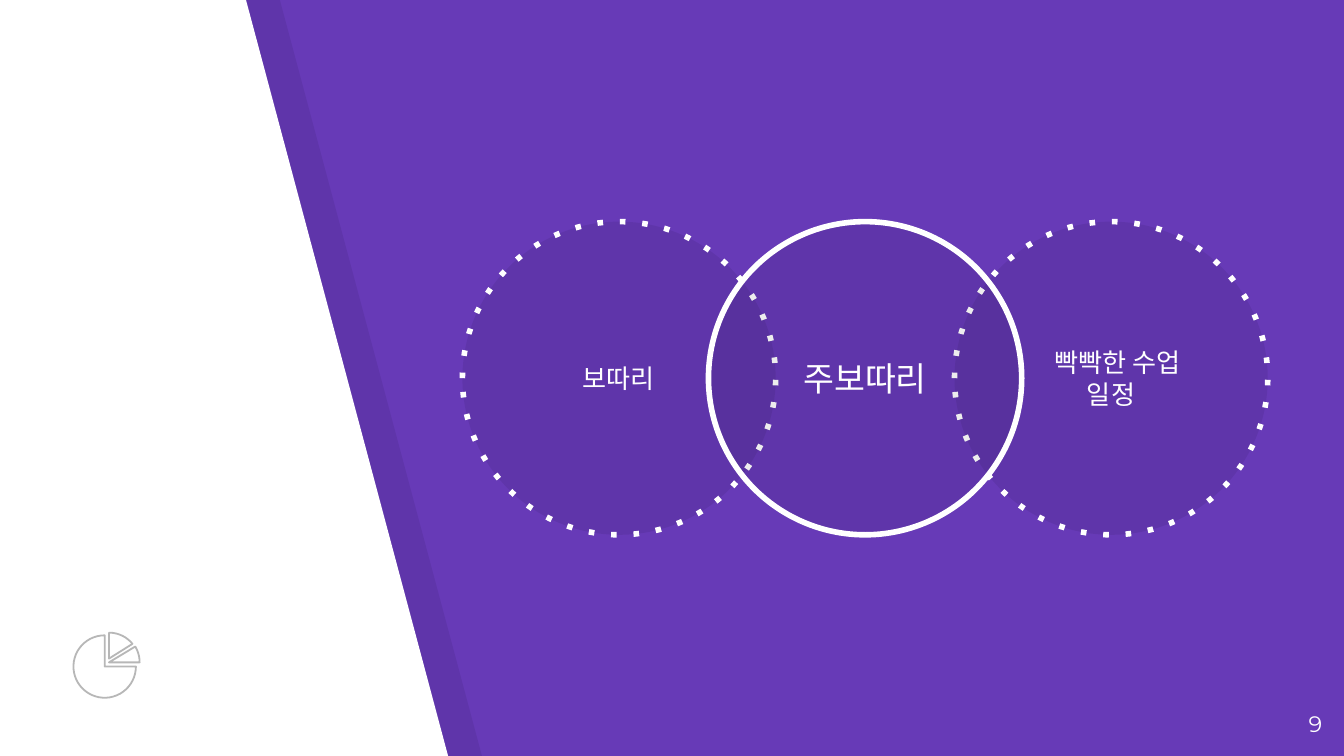
from math import cos, radians, sin

from lxml.etree import SubElement
from pptx import Presentation
from pptx.dml.color import RGBColor
from pptx.enum.shapes import MSO_SHAPE
from pptx.enum.text import MSO_ANCHOR, PP_ALIGN
from pptx.oxml.ns import qn
from pptx.util import Cm, Pt

HUES = {"base": "673AB7", "white": "FFFFFF", "shade": "000000", "grey": "B7B7B7"}
KOREAN = "Noto Sans CJK KR"
LATIN = "Montserrat"


def hue(name):
    return RGBColor.from_string(HUES[name])


def paint(shape, name, alpha=None):
    """Fill a shape, with an optional opacity in percent."""
    shape.fill.solid()
    shape.fill.fore_color.rgb = hue(name)
    if alpha:
        color = shape.fill._xPr.find(qn("a:solidFill"))[0]
        SubElement(color, qn("a:alpha")).set("val", str(alpha * 1000))


def draw(shapes, points):
    """Draw a closed outline through points given in centimetres."""
    first, *rest = [(Cm(x), Cm(y)) for x, y in points]
    pen = shapes.build_freeform(*first)
    pen.add_line_segments(rest, close=True)
    shape = pen.convert_to_shape()
    shape.shadow.inherit = False
    return shape


def write(shape, text, size, font, align, inset, indent=0):
    """Put one run of white text into a shape."""
    frame = shape.text_frame
    frame.word_wrap = True
    frame.margin_left = frame.margin_right = Cm(inset)
    frame.margin_top = frame.margin_bottom = Cm(0.25)
    para = frame.paragraphs[0]
    para.alignment = align
    if indent:
        para._p.get_or_add_pPr().set("indent", str(Cm(indent)))
    run = para.add_run()
    run.text = text
    run.font.size = Pt(size)
    run.font.name = font
    run.font.color.rgb = hue("white")
    SubElement(run._r.get_or_add_rPr(), qn("a:ea")).set("typeface", font)


def add_band(slide, shift, name, alpha=None):
    """Slanted panel at the left side."""
    edge = [(-0.05, -0.03), (-0.05, 14.33), (8.48, 14.33), (4.65, 0)]
    band = draw(slide.shapes, [(x + shift, y) for x, y in edge])
    paint(band, name, alpha)
    band.line.fill.background()


def add_ring(slide, left, text, size, dots, indent=0):
    """Tinted circle with a white rim and a label."""
    ring = slide.shapes.add_shape(
        MSO_SHAPE.OVAL, Cm(left), Cm(4.19), Cm(5.92), Cm(5.92))
    ring.shadow.inherit = False
    paint(ring, "shade", 7)
    ring.line.color.rgb = hue("white")
    ring.line.width = Pt(3)
    if dots:
        rim = ring._element.spPr.find(qn("a:ln"))
        SubElement(rim, qn("a:prstDash")).set("val", "dot")
    ring.text_frame.vertical_anchor = MSO_ANCHOR.MIDDLE
    write(ring, text, size, KOREAN, PP_ALIGN.CENTER, 0.35, indent)


def add_slice(group, tip, hub, radius, start, end):
    """Pie slice: an arc around the hub, closed through the tip."""
    steps = 40
    turns = [radians(start + (end - start) * i / steps) for i in range(steps + 1)]
    arc = [(hub[0] + radius * cos(t), hub[1] + radius * sin(t)) for t in turns]
    part = draw(group.shapes, [tip] + arc)
    part.fill.background()
    part.line.color.rgb = hue("grey")
    part.line.width = Pt(0.96)


def main():
    deck = Presentation()
    deck.slide_width, deck.slide_height = Cm(25.4), Cm(14.29)
    slide = deck.slides.add_slide(deck.slide_layouts[6])
    paint(slide.background, "base")

    # Side panel with its shade
    add_band(slide, 0.64, "shade", 7)
    add_band(slide, 0, "white")

    # Three linked circles, the middle one on top
    left, step = 8.74, 4.65
    add_ring(slide, left, "보따리", 14, True)
    add_ring(slide, left + 2 * step, "빡빡한 수업 일정", 14, True, 0.25)
    add_ring(slide, left + step, "주보따리", 18, False)

    # Pie icon
    icon = slide.shapes.add_group_shape()
    add_slice(icon, (1.98, 12.6), (1.98, 12.6), 0.59, 0, 270)
    add_slice(icon, (2.06, 12.45), (2.06, 12.53), 0.57, -90, -39)
    add_slice(icon, (2.06, 12.52), (2.06, 12.52), 0.58, -31, 0)

    # Page number
    box = slide.shapes.add_textbox(Cm(23.72), Cm(13.18), Cm(1.52), Cm(1.09))
    write(box, "9", 12, LATIN, PP_ALIGN.RIGHT, 0.25)

    deck.save("out.pptx")


if __name__ == "__main__":
    main()
